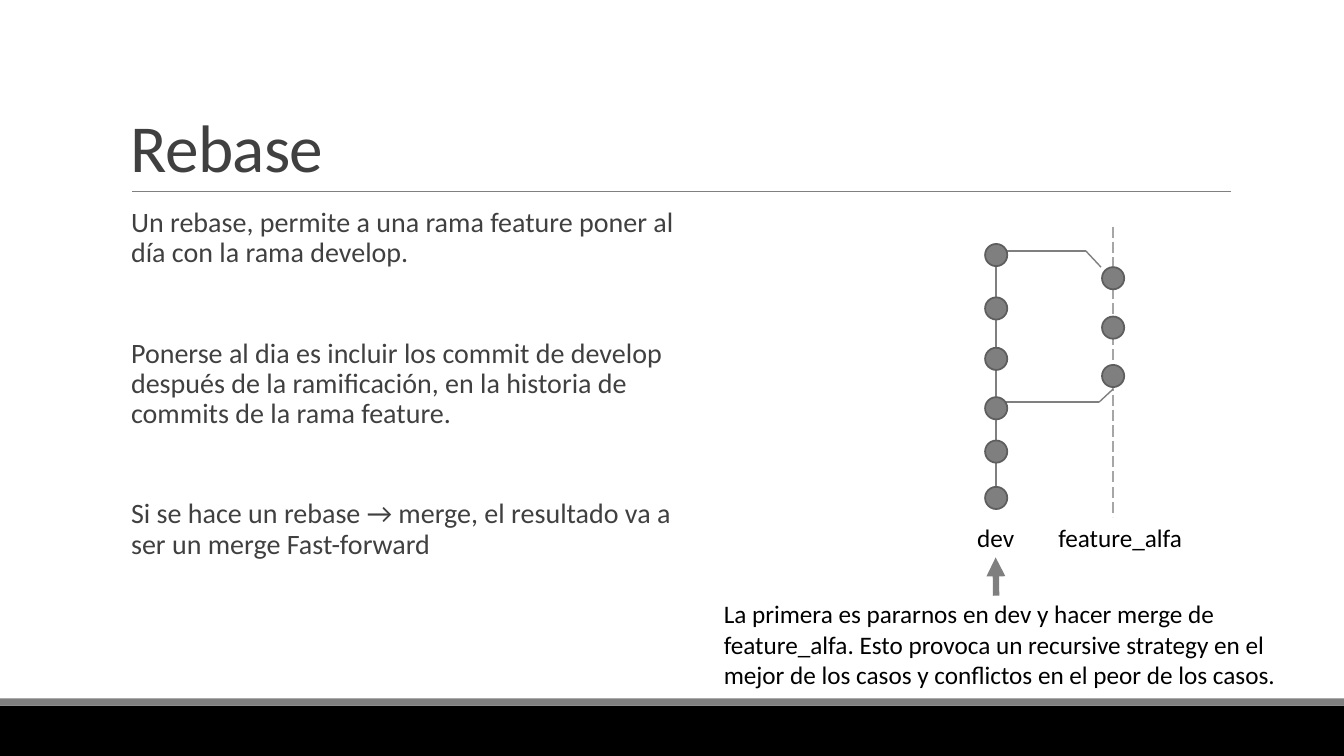
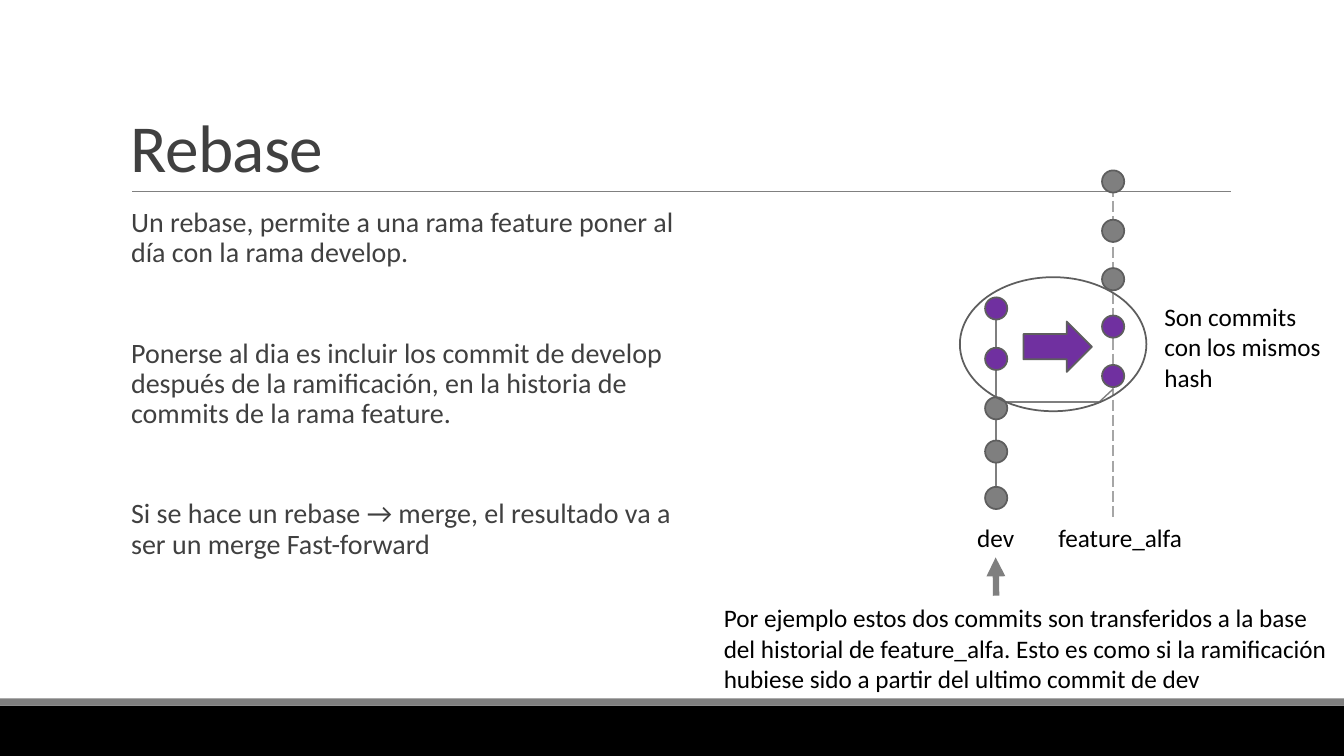
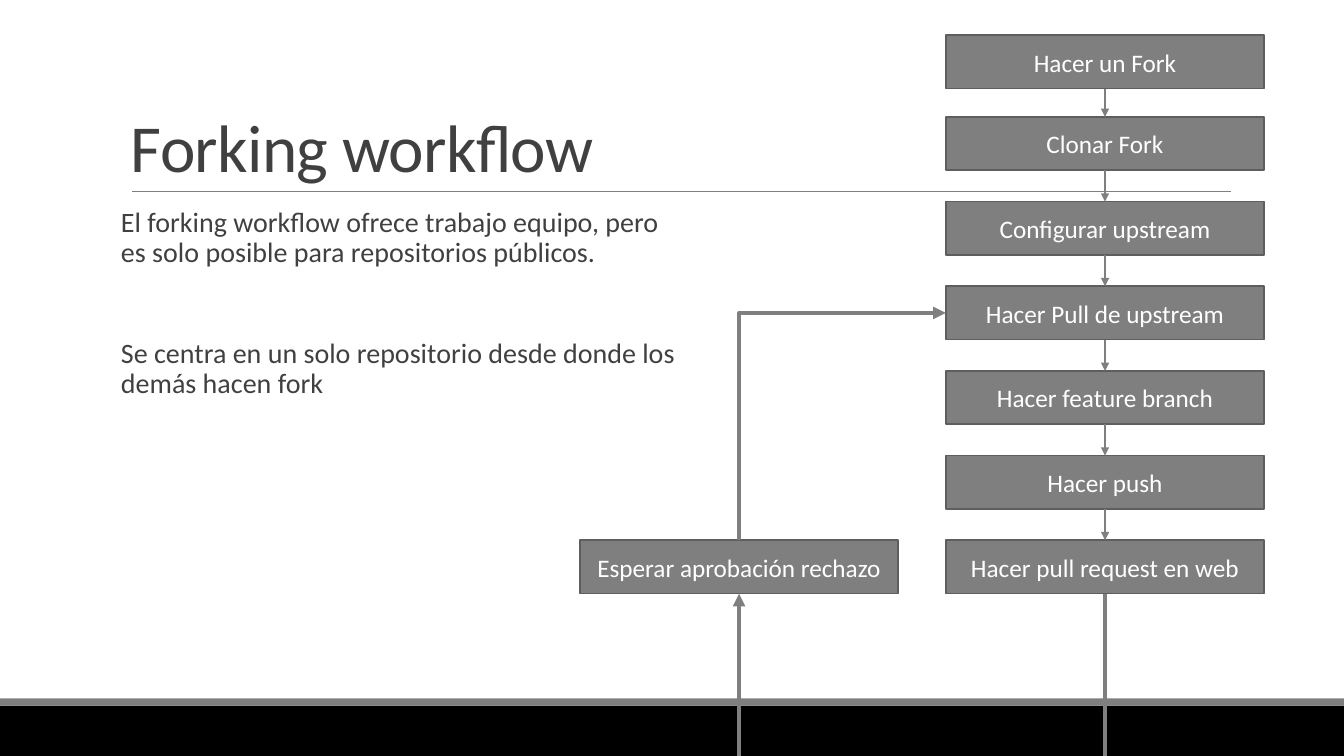
from lxml.etree import SubElement
from pptx import Presentation
from pptx.dml.color import RGBColor
from pptx.enum.dml import MSO_LINE
from pptx.enum.shapes import MSO_CONNECTOR as LINK, MSO_SHAPE as SHAPE
from pptx.enum.text import MSO_ANCHOR as ANCHOR, PP_ALIGN as ALIGN
from pptx.oxml.ns import qn
from pptx.util import Inches, Pt

FONT = "Calibri"
GREY, DARK_GREY, PURPLE = "7F7F7F", "5E5E5E", "7030A0"
BLACK, WHITE, INK = "000000", "FFFFFF", "404040"
rgb = RGBColor.from_string


def add_box(page, place, kind=None, fill=None, outline=None, lines=(),
            size=18, colour=BLACK, align=ALIGN.LEFT, anchor=ANCHOR.TOP):
    left, top, width, height = map(Inches, place)
    if kind is None:
        box = page.shapes.add_textbox(left, top, width, height)
    else:
        box = page.shapes.add_shape(kind, left, top, width, height)
        box.shadow.inherit = False
        if fill:
            box.fill.solid()
            box.fill.fore_color.rgb = rgb(fill)
        else:
            box.fill.background()
        if outline:
            box.line.color.rgb = rgb(outline)
            box.line.width = Pt(1.25)
        else:
            box.line.fill.background()
    frame = box.text_frame
    frame.word_wrap = True
    frame.vertical_anchor = anchor
    for index, line in enumerate(lines):
        para = frame.paragraphs[0] if index == 0 else frame.add_paragraph()
        para.text = line
        para.alignment = align
        para.font.name = FONT
        para.font.size = Pt(size)
        para.font.color.rgb = rgb(colour)
    return box


def add_line(page, start, end, colour=GREY, width=1, arrow=False, dash=None, kind=LINK.STRAIGHT):
    link = page.shapes.add_connector(kind, *map(Inches, start + end))
    link.line.color.rgb = rgb(colour)
    link.line.width = Pt(width)
    if dash:
        link.line.dash_style = dash
    properties = link._element.spPr
    if arrow:
        SubElement(properties.find(qn("a:ln")), qn("a:tailEnd"), type="triangle")
    SubElement(properties, qn("a:effectLst"))
    return link


deck = Presentation()
deck.slide_width, deck.slide_height = Inches(13.33), Inches(7.5)

rebase_text = [
    "Un rebase, permite a una rama feature poner al día con la rama develop.",
    "Ponerse al dia es incluir los commit de develop después de la ramificación, "
    "en la historia de commits de la rama feature.",
    "Si se hace un rebase → merge, el resultado va a ser un merge Fast-forward",
]
forking_text = [
    "El forking workflow ofrece trabajo equipo, pero es solo posible para repositorios públicos.",
    "Se centra en un solo repositorio desde donde los demás hacen fork",
]

pages = []
for title, body, body_left in [
    ("Rebase", rebase_text, 1.3),
    ("Rebase", rebase_text, 1.3),
    ("Forking workflow", forking_text, 1.2),
]:
    page = deck.slides.add_slide(deck.slide_layouts[6])
    pages.append(page)
    add_box(page, (0, 7, 13.33, 0.5), SHAPE.RECTANGLE, BLACK)
    add_box(page, (0, 6.93, 13.33, 0.07), SHAPE.RECTANGLE, GREY)
    add_line(page, (1.31, 1.9), (12.21, 1.9), "808080", 0.5)
    heading = add_box(page, (1.2, 0.31, 11, 1.59), lines=[title], size=48, colour=INK,
                      anchor=ANCHOR.BOTTOM)
    para = heading.text_frame.paragraphs[0]
    para.line_spacing = 0.85
    para.runs[0].font._element.set("spc", "-50")
    content = add_box(page, (body_left, 2.02, 5.55, 4.4), lines=body, size=20, colour=INK)
    content.text_frame.margin_left = content.text_frame.margin_right = 0
    for index, para in enumerate(content.text_frame.paragraphs):
        para.line_spacing = 0.9
        para.space_before = Pt(48 if index else 0)
        para.space_after = Pt(2)

merge_page, transfer_page, forking_page = pages
DEV, FEATURE, DOT = 9.88, 11.04, 0.22
merge_caption = (
    "La primera es pararnos en dev y hacer merge de feature_alfa. Esto provoca un recursive "
    "strategy en el mejor de los casos y conflictos en el peor de los casos."
)
transfer_caption = (
    "Por ejemplo estos dos commits son transferidos a la base del historial de feature_alfa. "
    "Esto es como si la ramificación hubiese sido a partir del ultimo commit de dev"
)
dev_base = [(DEV, top, GREY) for top in (4.83, 4.37, 3.94)]
merge_dots = dev_base + [(DEV, top, GREY) for top in (3.45, 2.95, 2.42)]
merge_dots += [(FEATURE, top, GREY) for top in (3.62, 3.14, 2.65)]
transfer_dots = dev_base + [(DEV, top, PURPLE) for top in (3.45, 2.95)]
transfer_dots += [(FEATURE, top, PURPLE) for top in (3.62, 3.13)]
transfer_dots += [(FEATURE, top, GREY) for top in (2.66, 2.18, 1.69)]

for page, dots, dev_top, feature_top, caption, caption_place in [
    (merge_page, merge_dots, 2.55, 2.25, merge_caption, (7.08, 5.89, 5.81, 1.01)),
    (transfer_page, transfer_dots, 3.16, 1.69, transfer_caption, (7.08, 5.93, 6.25, 1.01)),
]:
    add_line(page, (FEATURE, feature_top), (FEATURE, 5.13), "A6A6A6", dash=MSO_LINE.LONG_DASH)
    add_line(page, (DEV, 4.83), (DEV, dev_top))
    add_line(page, (FEATURE, 3.86), (10.9, 3.99))
    add_line(page, (10.9, 3.99), (9.98, 3.99))
    if page is merge_page:
        add_line(page, (10.77, 2.49), (9.96, 2.49))
        add_line(page, (10.92, 2.65), (10.77, 2.49))
    for centre, top, colour in dots:
        add_box(page, (centre - DOT / 2, top, DOT, DOT), SHAPE.OVAL, colour, DARK_GREY)
    dev_label = add_box(page, (9.4, 5.13, 0.95, 0.4), lines=["dev"], align=ALIGN.CENTER)
    add_box(page, (10.35, 5.13, 1.52, 0.4), lines=["feature_alfa"], align=ALIGN.CENTER)
    pointer = add_line(page, (DEV, 5.91), (DEV, 5.53), width=4.5, arrow=True)
    pointer.end_connect(dev_label, 2)
    add_box(page, caption_place, lines=[caption])

add_box(transfer_page, (10.15, 3.19, 0.68, 0.5), SHAPE.RIGHT_ARROW, PURPLE, DARK_GREY)
add_box(transfer_page, (9.52, 2.75, 1.85, 1.33), SHAPE.OVAL, outline=DARK_GREY)
add_box(transfer_page, (11.45, 2.94, 1.8, 1.01), lines=["Son commits", "con los mismos", "hash"])

step_names = [
    "Hacer un Fork", "Clonar Fork", "Configurar upstream", "Hacer Pull de upstream",
    "Hacer feature branch", "Hacer push", "Hacer pull request en web",
]
step_places = [(9.38, 0.35)] + [(9.38, 1.16 + 0.84 * row) for row in range(6)]
step_names.append("Esperar aprobación rechazo")
step_places.append((5.75, step_places[-1][1]))
steps = [
    add_box(forking_page, (left, top, 3.16, 0.53), SHAPE.RECTANGLE, GREY, DARK_GREY, [name],
            colour=WHITE, align=ALIGN.CENTER, anchor=ANCHOR.MIDDLE)
    for name, (left, top) in zip(step_names, step_places)
]
*flow, waiting = steps
for upper, lower in zip(flow, flow[1:]):
    link = add_line(forking_page, (10.96, 1), (10.96, 2), arrow=True)
    link.begin_connect(upper, 2)
    link.end_connect(lower, 0)

request_exit = add_line(forking_page, (10.96, 5.89), (10.96, 7.5), width=3)
request_exit.begin_connect(flow[-1], 2)
waiting_entry = add_line(forking_page, (7.33, 7.5), (7.33, 5.89), width=3, arrow=True)
waiting_entry.end_connect(waiting, 2)

retry = add_line(forking_page, (7.33, 5.36), (9.38, 3.1), width=3, arrow=True, kind=LINK.ELBOW)
retry.begin_connect(waiting, 0)
retry.end_connect(flow[3], 1)
across, rise = retry.width, retry.height
retry.left += (across - rise) // 2
retry.top += (rise - across) // 2
retry.width, retry.height = rise, across
properties = retry._element.spPr
properties.find(qn("a:prstGeom")).set("prst", "bentConnector2")
for key, value in (("rot", "5400000"), ("flipH", "1"), ("flipV", "1")):
    properties.find(qn("a:xfrm")).set(key, value)

deck.save("out.pptx")
